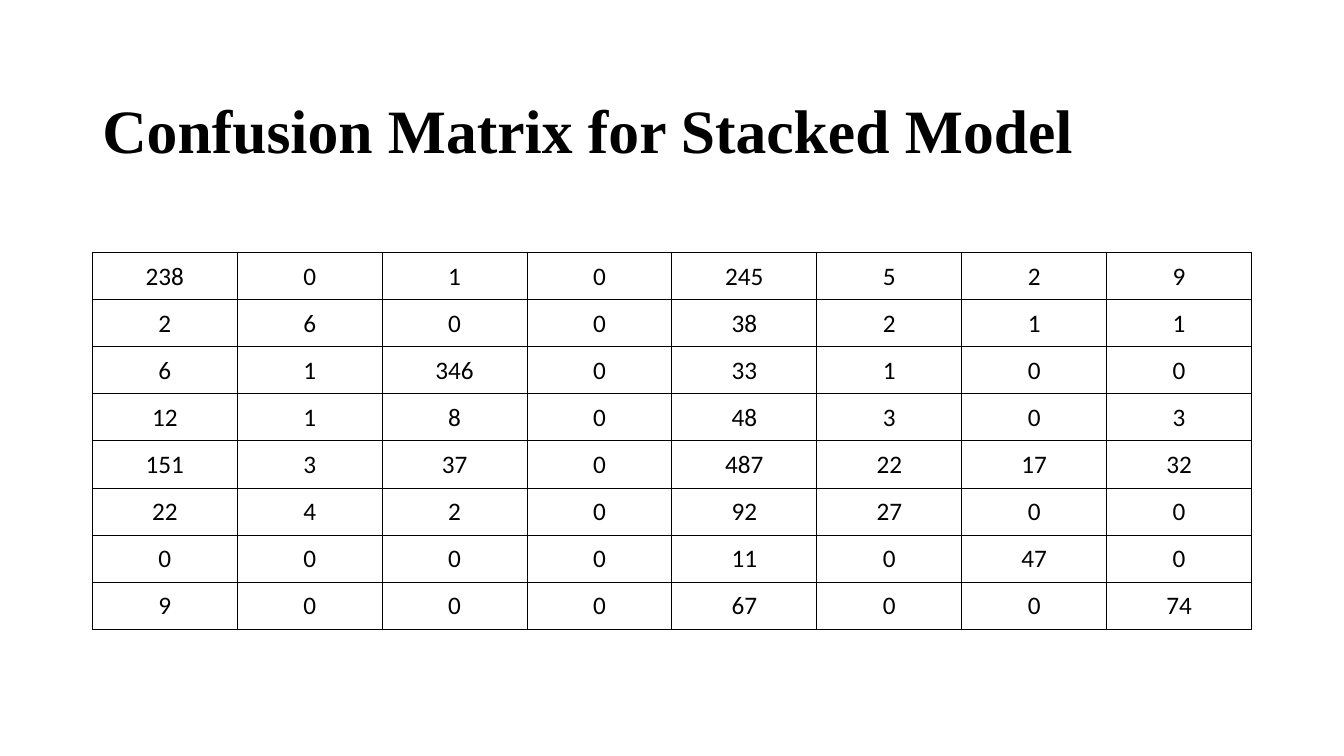
from dataclasses import dataclass

from lxml import etree
from pptx import Presentation
from pptx.dml.color import RGBColor
from pptx.enum.text import MSO_ANCHOR, PP_ALIGN
from pptx.oxml.ns import qn
from pptx.slide import Slide
from pptx.table import _Cell
from pptx.text.text import TextFrame
from pptx.util import Inches, Pt

MIDDLE = MSO_ANCHOR.MIDDLE
LEFT, CENTER = PP_ALIGN.LEFT, PP_ALIGN.CENTER
COLORS = {"ink": "000000"}

# Slide grid: 160 columns by 90 rows of square units
UNIT = Inches(7.5) / 90
BORDER_WIDTH = Pt(0.75)
BORDER_SIDES = ("a:lnL", "a:lnR", "a:lnT", "a:lnB")

HEADING = "Confusion Matrix for Stacked Model"
CONFUSION_COUNTS = [
    [238, 0, 1, 0, 245, 5, 2, 9],
    [2, 6, 0, 0, 38, 2, 1, 1],
    [6, 1, 346, 0, 33, 1, 0, 0],
    [12, 1, 8, 0, 48, 3, 0, 3],
    [151, 3, 37, 0, 487, 22, 17, 32],
    [22, 4, 2, 0, 92, 27, 0, 0],
    [0, 0, 0, 0, 11, 0, 47, 0],
    [9, 0, 0, 0, 67, 0, 0, 74],
]


def units(count: float) -> int:
    return round(count * UNIT)


@dataclass(frozen=True)
class Area:
    column: float
    row: float
    columns: float
    rows: float

    def box(self) -> tuple[int, int, int, int]:
        return (units(self.column), units(self.row),
                units(self.columns), units(self.rows))


@dataclass(frozen=True)
class Style:
    font: str
    size: float
    bold: bool
    align: PP_ALIGN
    line_spacing: float


HEADING_AREA = Area(11, 11, 138, 17.4)
MATRIX_AREA = Area(11, 30.1, 138, 44.8)
HEADING_STYLE = Style("Times New Roman", 44, True, LEFT, 0.9)
COUNT_STYLE = Style("Calibri", 18, False, CENTER, 1.0)


def write(frame: TextFrame, text: str, style: Style) -> None:
    paragraph = frame.paragraphs[0]
    paragraph.alignment = style.align
    paragraph.line_spacing = style.line_spacing
    run = paragraph.add_run()
    run.text = text
    run.font.name = style.font
    run.font.size = Pt(style.size)
    run.font.bold = style.bold
    run.font.color.rgb = RGBColor.from_string(COLORS["ink"])


def outline(cell: _Cell) -> None:
    properties = cell._tc.get_or_add_tcPr()
    for position, side in enumerate(BORDER_SIDES):
        line = etree.Element(qn(side), w=str(BORDER_WIDTH))
        fill = etree.SubElement(line, qn("a:solidFill"))
        etree.SubElement(fill, qn("a:srgbClr"), val=COLORS["ink"])
        properties.insert(position, line)


def draw_heading(slide: Slide) -> None:
    frame = slide.shapes.add_textbox(*HEADING_AREA.box()).text_frame
    frame.word_wrap = True
    frame.vertical_anchor = MIDDLE
    # The deep bottom inset lifts the heading above the middle of its box
    frame.margin_bottom = units(8.2)
    write(frame, HEADING, HEADING_STYLE)


def draw_matrix(slide: Slide) -> None:
    row_count, column_count = len(CONFUSION_COUNTS), len(CONFUSION_COUNTS[0])
    matrix = slide.shapes.add_table(
        row_count, column_count, *MATRIX_AREA.box()).table
    matrix.first_row = matrix.horz_banding = False
    for row, counts in enumerate(CONFUSION_COUNTS):
        for column, count in enumerate(counts):
            cell = matrix.cell(row, column)
            cell.fill.background()
            cell.vertical_anchor = MIDDLE
            cell.margin_left = cell.margin_right = units(1)
            cell.margin_top = cell.margin_bottom = units(1)
            write(cell.text_frame, str(count), COUNT_STYLE)
            outline(cell)


def main() -> None:
    presentation = Presentation()
    presentation.slide_width = units(160)
    presentation.slide_height = units(90)
    slide = presentation.slides.add_slide(presentation.slide_layouts[6])
    draw_heading(slide)
    draw_matrix(slide)
    presentation.save("out.pptx")


if __name__ == "__main__":
    main()
